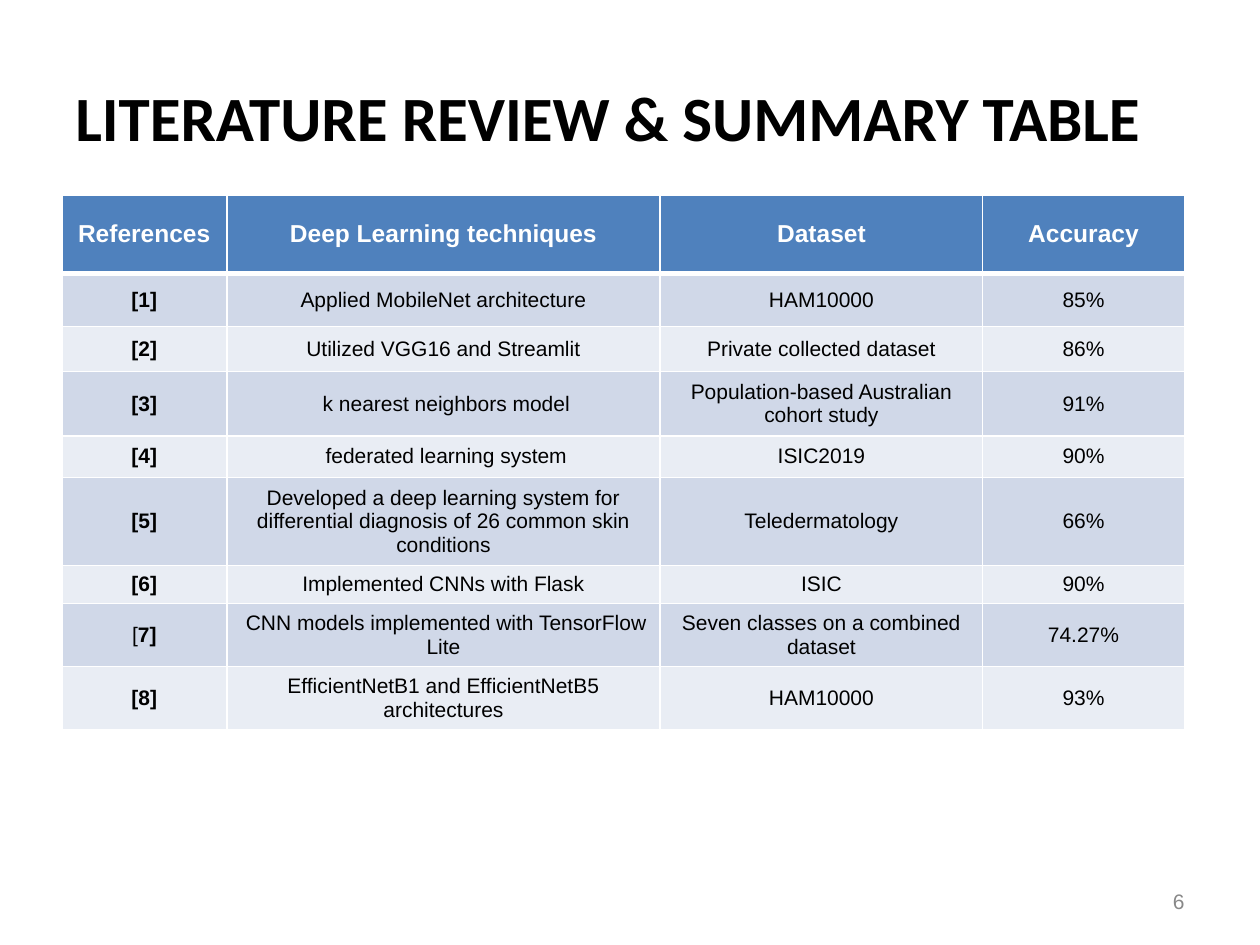
"""Build the literature review slide with its summary table."""
from lxml.etree import SubElement
from pptx import Presentation
from pptx.dml.color import RGBColor
from pptx.enum.text import MSO_ANCHOR as Anchor, PP_ALIGN as Align
from pptx.oxml.ns import qn
from pptx.util import Inches, Pt

BLACK = RGBColor(0x00, 0x00, 0x00)
WHITE = RGBColor(0xFF, 0xFF, 0xFF)
GREY = RGBColor(0x88, 0x88, 0x88)
HEADER_BLUE = RGBColor(0x4F, 0x81, 0xBD)
BANDS = [RGBColor(0xE9, 0xED, 0xF4), RGBColor(0xD0, 0xD8, 0xE8)]

COLUMNS = [1.31, 3.44, 2.56, 1.6]
ROWS = [0.62, 0.42, 0.36, 0.51, 0.33, 0.66, 0.29, 0.47, 0.47]
HEADINGS = ["References", "Deep Learning techniques", "Dataset", "Accuracy"]
STUDIES = [
    ["[1]", "Applied MobileNet architecture", "HAM10000", "85%"],
    ["[2]", "Utilized VGG16 and Streamlit", "Private collected dataset", "86%"],
    ["[3]", " k nearest neighbors model", "Population-based Australian cohort study", "91%"],
    ["[4]", " federated learning system", "ISIC2019", "90%"],
    ["[5]", "Developed a deep learning system for differential diagnosis of 26 common skin conditions",
     "Teledermatology", "66%"],
    ["[6]", "Implemented CNNs with Flask", "ISIC", "90%"],
    ["[7]", " CNN models implemented with TensorFlow Lite", "Seven classes on a combined dataset", "74.27%"],
    ["[8]", "EfficientNetB1 and EfficientNetB5 architectures", "HAM10000", "93%"],
]


def add_run(paragraph, text, size, color, bold=False, font="Arial"):
    run = paragraph.add_run()
    run.text = text
    run.font.name = font
    run.font.size = Pt(size)
    run.font.bold = bold
    run.font.color.rgb = color


def add_border(cell, side, width):
    line = SubElement(cell._tc.get_or_add_tcPr(), qn(f"a:{side}"), w=str(Pt(width)))
    SubElement(SubElement(line, qn("a:solidFill")), qn("a:srgbClr"), val=str(WHITE))


deck = Presentation()
deck.slide_width, deck.slide_height = Inches(10), Inches(7.5)
slide = deck.slides.add_slide(deck.slide_layouts[6])

labels = [
    ((0.5, 0.3, 9, 1.25), "LITERATURE REVIEW & SUMMARY TABLE", Align.LEFT, (36, BLACK, True, "Calibri")),
    ((7.17, 6.95, 2.33, 0.4), "6", Align.RIGHT, (12, GREY)),
]
for place, text, align, style in labels:
    frame = slide.shapes.add_textbox(*map(Inches, place)).text_frame
    frame.word_wrap = True
    frame.vertical_anchor = Anchor.MIDDLE
    frame.paragraphs[0].alignment = align
    add_run(frame.paragraphs[0], text, *style)

summary = slide.shapes.add_table(
    len(ROWS), len(COLUMNS), Inches(0.49), Inches(1.55), Inches(sum(COLUMNS)), Inches(sum(ROWS))
).table
for column, width in zip(summary.columns, COLUMNS):
    column.width = Inches(width)
for row, height in zip(summary.rows, ROWS):
    row.height = Inches(height)

for r, entries in enumerate([HEADINGS] + STUDIES):
    is_header = r == 0
    for c, entry in enumerate(entries):
        cell = summary.cell(r, c)
        cell.vertical_anchor = Anchor.MIDDLE
        for side in ("lnL", "lnR", "lnT", "lnB"):
            under_header = (r, side) in ((0, "lnB"), (1, "lnT"))
            add_border(cell, side, 3 if under_header else 1)
        cell.fill.solid()
        cell.fill.fore_color.rgb = HEADER_BLUE if is_header else BANDS[r % 2]
        paragraph = cell.text_frame.paragraphs[0]
        paragraph.alignment = Align.CENTER
        size, color = (14, WHITE) if is_header else (12, BLACK)
        if entry == "[7]":
            add_run(paragraph, "[", size, color)
            entry = "7]"
        add_run(paragraph, entry, size, color, is_header or c == 0)

deck.save("out.pptx")
